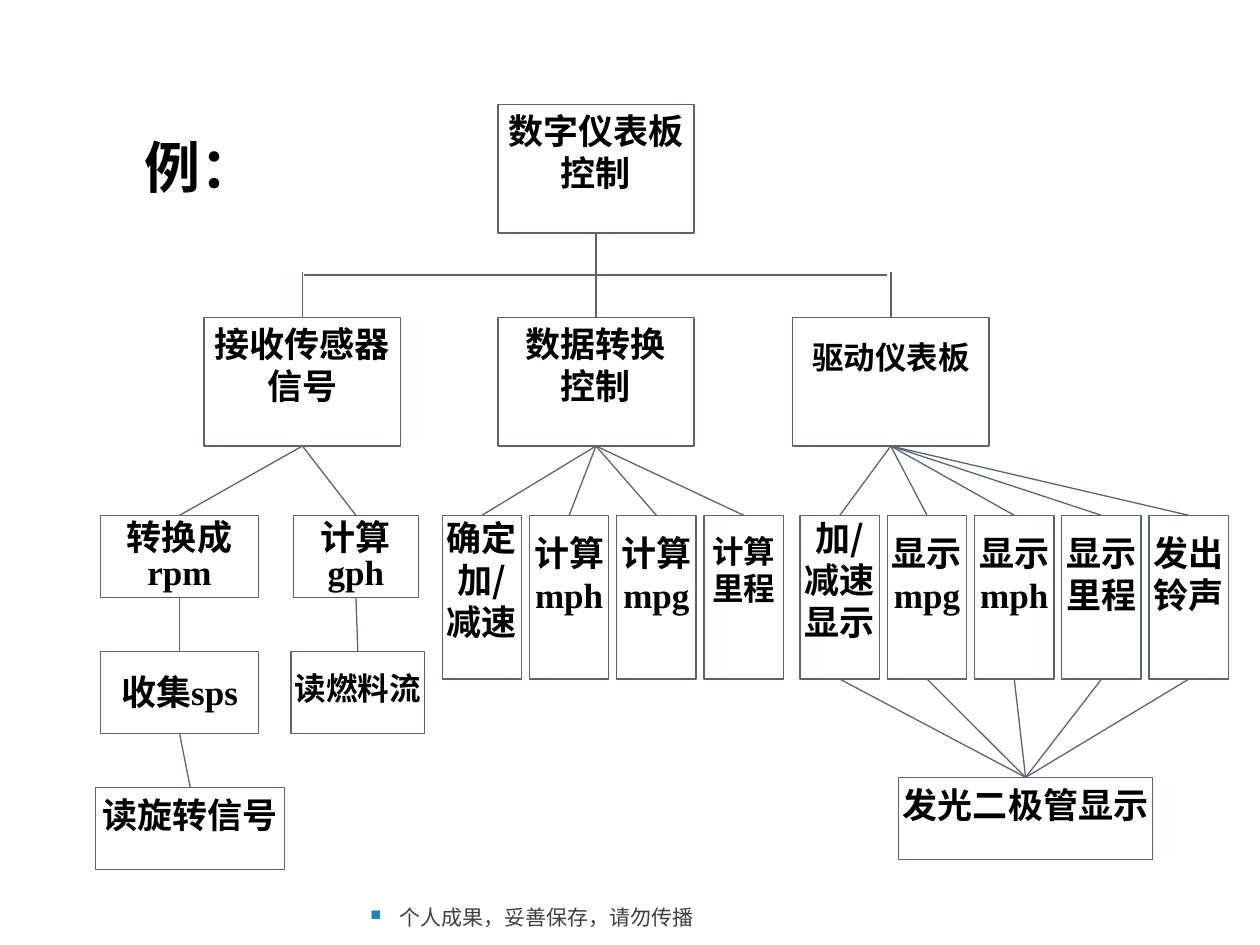
from dataclasses import dataclass

from lxml import etree
from pptx import Presentation
from pptx import util as u
from pptx.dml.color import RGBColor
from pptx.enum import shapes, text
from pptx.oxml import ns

TOP, BOTTOM = 0, 2


@dataclass(frozen=True)
class Theme:
    ink: RGBColor = RGBColor(0, 0, 0)
    edge: RGBColor = RGBColor(0x5A, 0x63, 0x78)
    footer: RGBColor = RGBColor(0x3F, 0x3F, 0x3F)
    bullet: str = "168BBA"
    latin: str = "Times New Roman"
    cjk: str = "Noto Sans CJK SC"
    sans: str = "Lato"
    title_size: int = 32
    label_size: int = 20
    small_size: int = 18
    footer_size: int = 12
    thick: float = 1
    thin: float = 0.75


THEME = Theme()


def set_insets(tf, left, top, right, bottom):
    tf.margin_left, tf.margin_top = u.Inches(left), u.Inches(top)
    tf.margin_right, tf.margin_bottom = u.Inches(right), u.Inches(bottom)


def set_font(font, size, name, color, bold):
    font.size = u.Pt(size)
    font.name = name
    font.color.rgb = color
    font.bold = bold


def add_text(s, at, words, size, color, bold, insets, space, hang):
    tf = s.shapes.add_textbox(*map(u.Inches, at)).text_frame
    tf.word_wrap = True
    set_insets(tf, *insets)
    p = tf.paragraphs[0]
    p.text = words
    p.space_before = u.Pt(space)
    set_font(p.font, size, THEME.sans, color, bold)
    pPr = p._p.get_or_add_pPr()
    pPr.set("marL", str(u.Inches(hang)))
    pPr.set("indent", str(-u.Inches(hang)))
    return tf


def add_bullet(p):
    pPr = p._p.get_or_add_pPr()
    color = etree.Element(ns.qn("a:buClr"))
    etree.SubElement(color, ns.qn("a:srgbClr"), val=THEME.bullet)
    size = etree.Element(ns.qn("a:buSzPct"), val="70000")
    char = etree.Element(ns.qn("a:buChar"), char="■")
    at = pPr.index(pPr.find(ns.qn("a:defRPr")))
    pPr[at:at] = [color, size, char]


def add_label(p, label, size, spacing):
    p.alignment = text.PP_ALIGN.CENTER
    if spacing:
        p.line_spacing = spacing
    set_font(p.font, size, THEME.latin, THEME.ink, True)
    parts = label.split("|")
    fonts = (THEME.cjk, THEME.latin) if len(parts) > 1 else (None,)
    for part, name in zip(parts, fonts):
        if part:
            r = p.add_run()
            r.text = part
            if name:
                r.font.name = name


def add_box(s, at, labels, top=0.05, bottom=0.01, size=THEME.label_size,
            spacing=None, weight=THEME.thin):
    sp = s.shapes.add_shape(shapes.MSO_SHAPE.RECTANGLE, *map(u.Inches, at))
    sp.shadow.inherit = False
    sp.fill.background()
    sp.line.color.rgb = THEME.edge
    sp.line.width = u.Pt(weight)
    tf = sp.text_frame
    tf.word_wrap = True
    tf.vertical_anchor = text.MSO_ANCHOR.TOP
    set_insets(tf, 0.02, top, 0.02, bottom)
    for i, label in enumerate(labels):
        p = tf.add_paragraph() if i else tf.paragraphs[0]
        add_label(p, label, size, spacing)
    return sp


def add_line(s, start=(0, 0), end=(0, 0), weight=THEME.thin):
    line = s.shapes.add_connector(
        shapes.MSO_CONNECTOR.STRAIGHT, *map(u.Inches, (*start, *end)))
    line.line.color.rgb = THEME.edge
    line.line.width = u.Pt(weight)
    etree.SubElement(line._element.spPr, ns.qn("a:effectLst"))
    return line


def join(s, upper, lower, weight=THEME.thin):
    line = add_line(s, weight=weight)
    line.begin_connect(upper, BOTTOM)
    line.end_connect(lower, TOP)


def add_module(s, left, top, labels, inset=0.04, size=THEME.label_size):
    return add_box(s, (left, top, 1.56, 1.02), labels, inset, 0.04, size,
                   weight=THEME.thick)


def add_leaves(s, parent, left, leaves):
    pitch = 2.77 / 4
    boxes = []
    for i, (labels, inset, size) in enumerate(leaves):
        box = add_box(s, (left + i * pitch, 4.09, 0.63, 1.3), labels,
                      inset, size=size)
        join(s, parent, box)
        boxes.append(box)
    return boxes


def add_chain(s, parent, steps):
    for at, label, spacing, size in steps:
        box = add_box(s, at, [label], size=size, spacing=spacing)
        join(s, parent, box)
        parent = box


def main():
    prs = Presentation()
    prs.slide_width, prs.slide_height = u.Inches(10), u.Inches(7.5)
    s = prs.slides.add_slide(prs.slide_layouts[6])
    big, small = THEME.label_size, THEME.small_size

    tf = add_text(s, (2.89, 7.08, 6.02, 0.3), "个人成果，妥善保存，请勿传播",
                  THEME.footer_size, THEME.footer, False,
                  (0.05, 0.05, 0.05, 0), 3, 0.23)
    tf.vertical_anchor = text.MSO_ANCHOR.BOTTOM
    tf.paragraphs[0].line_spacing = 0.8
    add_bullet(tf.paragraphs[0])
    add_text(s, (1.05, 1, 8.83, 0.67), "例：", THEME.title_size, THEME.ink,
             True, (0.1, 0.05, 0.1, 0.05), 8, 0.38)

    root = add_module(s, 3.95, 0.83, ["数字仪表板", "控制"])
    sensor = add_module(s, 1.62, 2.52, ["接收传感器", "信号"])
    convert = add_module(s, 3.95, 2.52, ["数据转换", "控制"])
    drive = add_module(s, 6.29, 2.52, ["驱动仪表板"], 0.16, small)
    join(s, root, convert, THEME.thick)
    add_line(s, (2.41, 2.18), (7.04, 2.18), THEME.thick)
    for x, module in ((2.4, sensor), (7.07, drive)):
        drop = add_line(s, (x, 2.16), (x, 2.52), THEME.thick)
        drop.end_connect(module, TOP)

    add_chain(s, sensor, [
        ((0.8, 4.09, 1.25, 0.65), "转换成|rpm", 0.85, big),
        ((0.8, 5.17, 1.25, 0.65), "收集sps", 1.3, big),
        ((0.76, 6.25, 1.5, 0.65), "读旋转信号", None, big),
    ])
    add_chain(s, sensor, [
        ((2.33, 4.09, 0.99, 0.65), "计算|gph", 0.85, big),
        ((2.31, 5.17, 1.06, 0.65), "读燃料流", 1.3, small),
    ])
    add_leaves(s, convert, 3.51, [
        (["确定加/减速|"], 0.01, big),
        (["计算|mph"], 0.13, big),
        (["计算mpg"], 0.13, big),
        (["计算里程"], 0.13, small),
    ])
    displays = add_leaves(s, drive, 6.35, [
        (["加/减速|", "显示"], 0.01, big),
        (["显示mpg"], 0.13, big),
        (["显示mph"], 0.13, big),
        (["显示里程"], 0.13, big),
        (["发出铃声"], 0.13, big),
    ])
    led = add_box(s, (7.13, 6.17, 2.02, 0.65), ["发光二极管显示"])
    for display in displays:
        join(s, display, led)

    prs.save("out.pptx")


if __name__ == "__main__":
    main()
